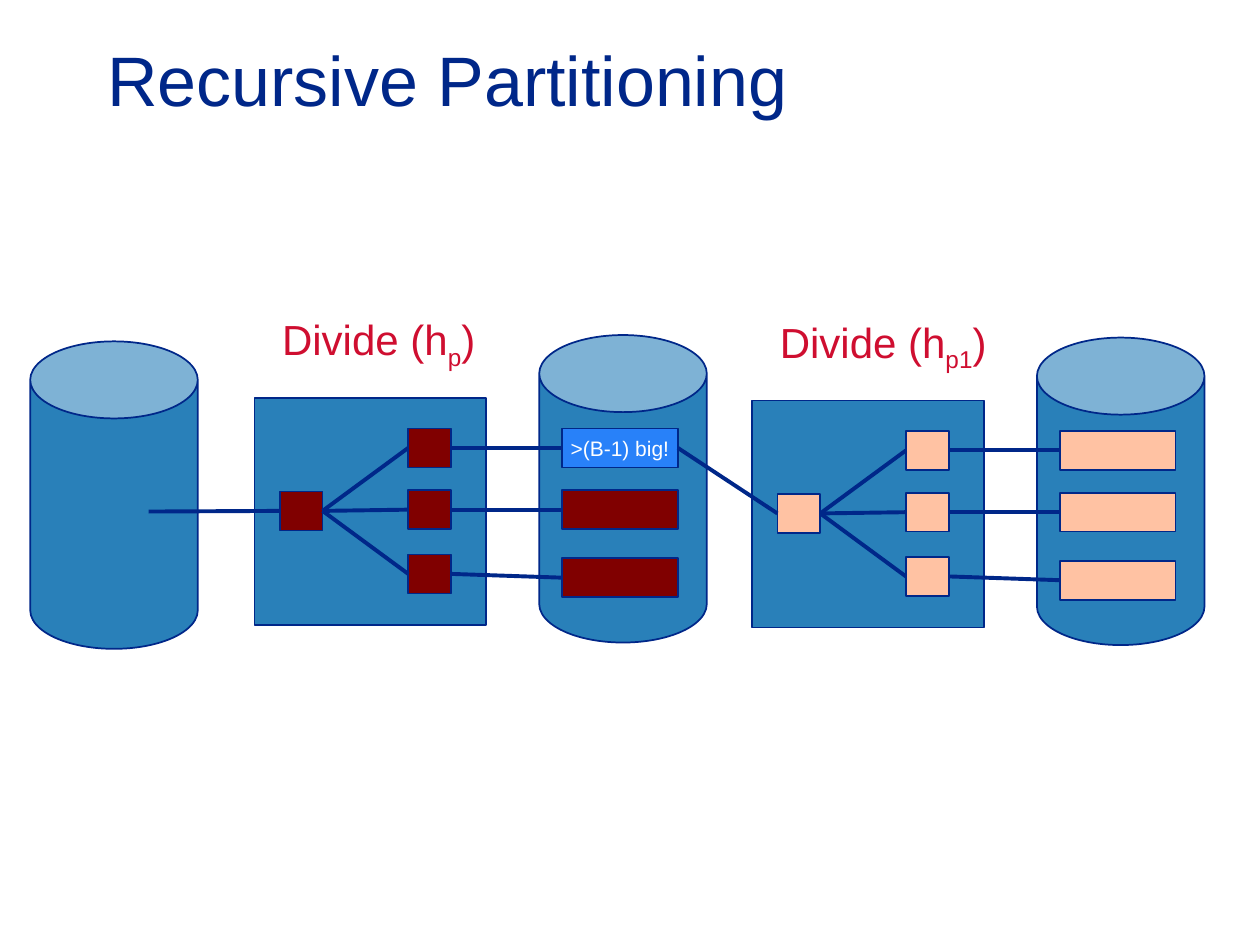
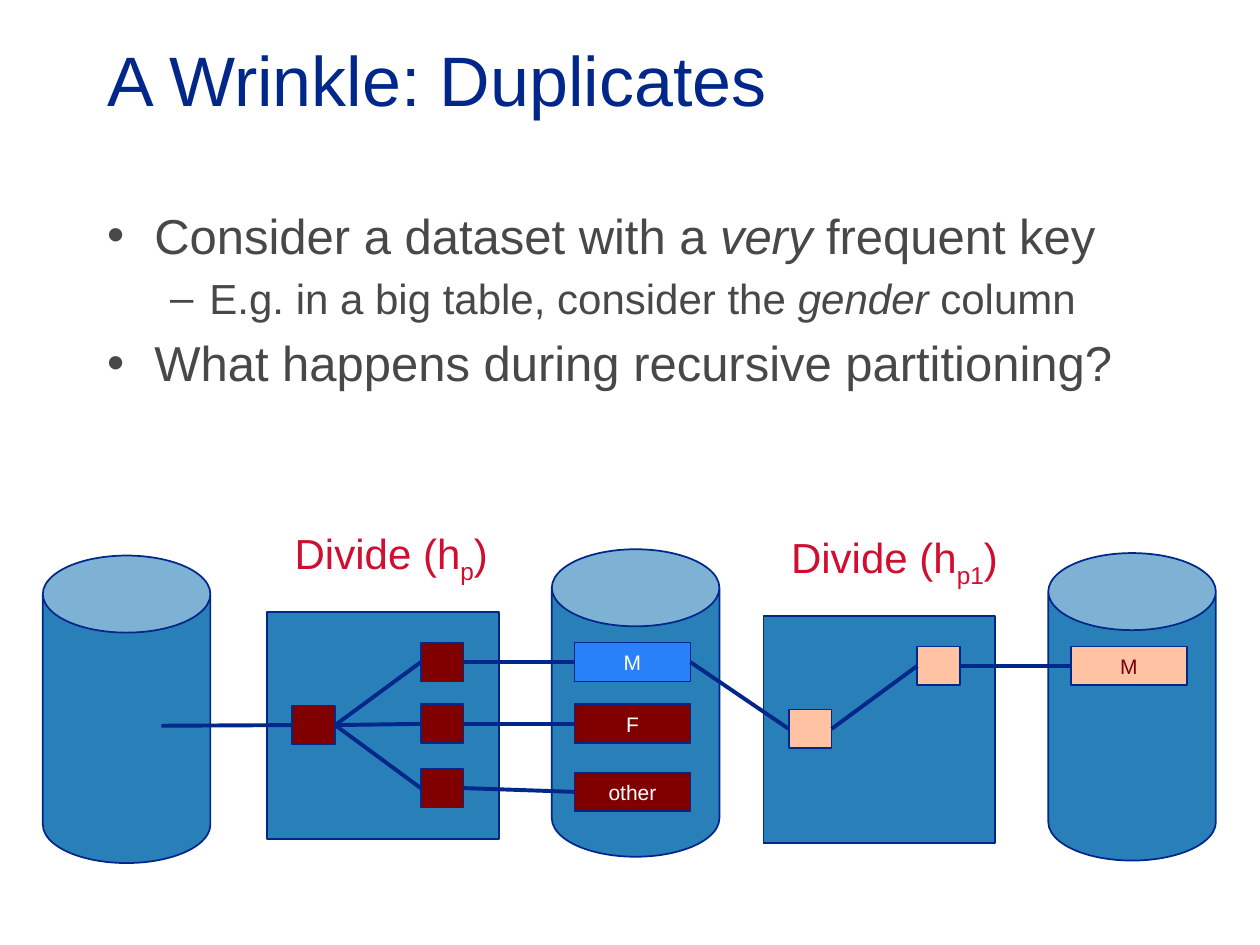
from dataclasses import dataclass
from typing import NamedTuple

from lxml.etree import SubElement
from pptx import Presentation
from pptx.dml.color import RGBColor
from pptx.enum.shapes import MSO_CONNECTOR, MSO_SHAPE
from pptx.enum.text import MSO_ANCHOR, MSO_AUTO_SIZE, PP_ALIGN
from pptx.oxml.ns import qn
from pptx.shapes.autoshape import Shape
from pptx.shapes.connector import Connector
from pptx.slide import Slide
from pptx.text.text import TextFrame
from pptx.util import Inches, Pt


@dataclass(frozen=True)
class Theme:
    font: str = "Arial"
    navy: str = "002789"
    blue: str = "2980B9"
    bright_blue: str = "2881F9"
    maroon: str = "800000"
    dark_red: str = "71010C"
    peach: str = "FFC2A3"
    red: str = "CF0E30"
    gray: str = "484848"
    white: str = "FFFFFF"
    title_size: int = 40
    body_size: int = 28
    sub_body_size: int = 24
    label_size: int = 24
    partition_size: int = 12
    outline: float = 1
    connector: float = 2.25


THEME = Theme()
TITLE_ONLY, TITLE_AND_CONTENT = 5, 1
LEFT_SIDE, RIGHT_SIDE = 1, 3
CAN_SIZE = (1.33, 2.44)
DIVIDER_SIZE = (1.84, 1.8)
BUFFER_SIZE = (0.34, 0.31)
PARTITION_SIZE = (0.92, 0.31)
BUFFER_ROWS = (0.24, 0.73, 1.24)
PARTITION_ROWS = (0.24, 0.73, 1.27)


class TextRun(NamedTuple):
    text: str
    italic: bool = False
    subscript: bool = False


class Partition(NamedTuple):
    fill: str
    text: str = ""
    color: str = THEME.white


class Stage(NamedTuple):
    left: float
    top: float
    hash_index: str
    buffer_fill: str
    partitions: tuple[Partition, ...]


class DrawnStage(NamedTuple):
    input_buffer: Shape
    first_partition: Shape


def write_text(frame: TextFrame, *runs: TextRun, size: float, color: str,
               alignment: PP_ALIGN = PP_ALIGN.LEFT, level: int = 0,
               append: bool = False) -> None:
    paragraph = frame.add_paragraph() if append else frame.paragraphs[0]
    paragraph.alignment = alignment
    paragraph.level = level
    for text_run in runs:
        run = paragraph.add_run()
        run.text = text_run.text
        run.font.name = THEME.font
        run.font.size = Pt(size)
        run.font.color.rgb = RGBColor.from_string(color)
        if text_run.italic:
            run.font.italic = True
        if text_run.subscript:
            run.font._element.set("baseline", "-25000")


def place(shape: Shape, left: float, top: float, width: float, height: float) -> None:
    shape.left, shape.top = Inches(left), Inches(top)
    shape.width, shape.height = Inches(width), Inches(height)


def add_block(slide: Slide, kind: MSO_SHAPE, left: float, top: float,
              size: tuple[float, float], fill: str) -> Shape:
    shape = slide.shapes.add_shape(kind, Inches(left), Inches(top),
                                   Inches(size[0]), Inches(size[1]))
    shape.shadow.inherit = False
    shape.fill.solid()
    shape.fill.fore_color.rgb = RGBColor.from_string(fill)
    shape.line.color.rgb = RGBColor.from_string(THEME.navy)
    shape.line.width = Pt(THEME.outline)
    return shape


def add_disk(slide: Slide, left: float, top: float) -> None:
    disk = add_block(slide, MSO_SHAPE.CAN, left, top, CAN_SIZE, THEME.blue)
    disk.adjustments[0] = 0.46


def add_line(slide: Slide, left: float = 0, top: float = 0) -> Connector:
    line = slide.shapes.add_connector(MSO_CONNECTOR.STRAIGHT, Inches(left), Inches(top),
                                      Inches(left), Inches(top))
    line.line.color.rgb = RGBColor.from_string(THEME.navy)
    line.line.width = Pt(THEME.connector)
    SubElement(line._element.spPr, qn("a:effectLst"))
    return line


def join(slide: Slide, source: Shape, target: Shape) -> None:
    line = add_line(slide)
    line.begin_connect(source, RIGHT_SIDE)
    line.end_connect(target, LEFT_SIDE)


def add_partition(slide: Slide, left: float, top: float, partition: Partition) -> Shape:
    shape = add_block(slide, MSO_SHAPE.RECTANGLE, left, top, PARTITION_SIZE, partition.fill)
    if partition.text:
        frame = shape.text_frame
        frame.word_wrap = False
        frame.vertical_anchor = MSO_ANCHOR.MIDDLE
        write_text(frame, TextRun(partition.text), size=THEME.partition_size,
                   color=partition.color, alignment=PP_ALIGN.CENTER)
    return shape


def add_divide_label(slide: Slide, stage: Stage) -> None:
    label = slide.shapes.add_textbox(Inches(stage.left + 0.12), Inches(stage.top - 0.72),
                                     Inches(1.85), Inches(0.5))
    label.text_frame.word_wrap = False
    label.text_frame.auto_size = MSO_AUTO_SIZE.SHAPE_TO_FIT_TEXT
    write_text(label.text_frame, TextRun("Divide (h"),
               TextRun(stage.hash_index, subscript=True), TextRun(")"),
               size=THEME.label_size, color=THEME.red)


def draw_stage(slide: Slide, stage: Stage) -> DrawnStage:
    left, top = stage.left, stage.top
    add_disk(slide, left + 2.26, top - 0.5)
    add_block(slide, MSO_SHAPE.RECTANGLE, left, top, DIVIDER_SIZE, THEME.blue)
    input_buffer = add_block(slide, MSO_SHAPE.RECTANGLE, left + 0.2, top + 0.74,
                             BUFFER_SIZE, stage.buffer_fill)
    drawn_partitions = []
    for partition, buffer_row, partition_row in zip(
            stage.partitions, BUFFER_ROWS, PARTITION_ROWS):
        output_buffer = add_block(slide, MSO_SHAPE.RECTANGLE, left + 1.22, top + buffer_row,
                                  BUFFER_SIZE, stage.buffer_fill)
        drawn = add_partition(slide, left + 2.44, top + partition_row, partition)
        join(slide, input_buffer, output_buffer)
        join(slide, output_buffer, drawn)
        drawn_partitions.append(drawn)
    add_divide_label(slide, stage)
    return DrawnStage(input_buffer, drawn_partitions[0])


def draw_pipeline(slide: Slide, first: Stage, second: Stage) -> None:
    add_disk(slide, first.left - 1.78, first.top - 0.45)
    first_drawn = draw_stage(slide, first)
    input_line = add_line(slide, first.left - 0.84, first.top + 0.9)
    input_line.end_connect(first_drawn.input_buffer, LEFT_SIDE)
    second_drawn = draw_stage(slide, second)
    join(slide, first_drawn.first_partition, second_drawn.input_buffer)


def add_titled_slide(presentation: Presentation, layout: int, title: str) -> Slide:
    slide = presentation.slides.add_slide(presentation.slide_layouts[layout])
    shape = slide.shapes.title
    place(shape, 0.75, 0, 8.5, 1.25)
    shape.text_frame.auto_size = MSO_AUTO_SIZE.NONE
    shape.text_frame.vertical_anchor = MSO_ANCHOR.MIDDLE
    write_text(shape.text_frame, TextRun(title), size=THEME.title_size, color=THEME.navy)
    return slide


def build_recursive_partitioning(presentation: Presentation) -> None:
    slide = add_titled_slide(presentation, TITLE_ONLY, "Recursive Partitioning")
    oversized = Partition(THEME.bright_blue, ">(B-1) big!")
    draw_pipeline(
        slide,
        Stage(2.02, 3.16, "p", THEME.maroon, (oversized, *[Partition(THEME.maroon)] * 2)),
        Stage(5.97, 3.18, "p1", THEME.peach, (Partition(THEME.peach),) * 3))


def build_duplicates(presentation: Presentation) -> None:
    slide = add_titled_slide(presentation, TITLE_AND_CONTENT, "A Wrinkle: Duplicates")
    body = slide.placeholders[1]
    place(body, 0.75, 1.58, 8.5, 5.58)
    frame = body.text_frame
    frame.auto_size = MSO_AUTO_SIZE.NONE
    write_text(frame, TextRun("Consider a dataset with a "), TextRun("very", italic=True),
               TextRun(" frequent key"), size=THEME.body_size, color=THEME.gray)
    write_text(frame, TextRun("E.g. in a big table, consider the "),
               TextRun("gender ", italic=True), TextRun("column"),
               size=THEME.sub_body_size, color=THEME.gray, level=1, append=True)
    write_text(frame, TextRun("What happens during recursive partitioning?"),
               size=THEME.body_size, color=THEME.gray, append=True)
    draw_pipeline(
        slide,
        Stage(2.12, 4.86, "p", THEME.maroon,
              (Partition(THEME.bright_blue, "M"), Partition(THEME.maroon, "F"),
               Partition(THEME.maroon, "other"))),
        Stage(6.06, 4.89, "p1", THEME.peach,
              (Partition(THEME.peach, "M", THEME.dark_red),)))


def main() -> None:
    presentation = Presentation()
    presentation.slide_width, presentation.slide_height = Inches(10), Inches(7.5)
    build_recursive_partitioning(presentation)
    build_duplicates(presentation)
    presentation.save("out.pptx")


if __name__ == "__main__":
    main()
